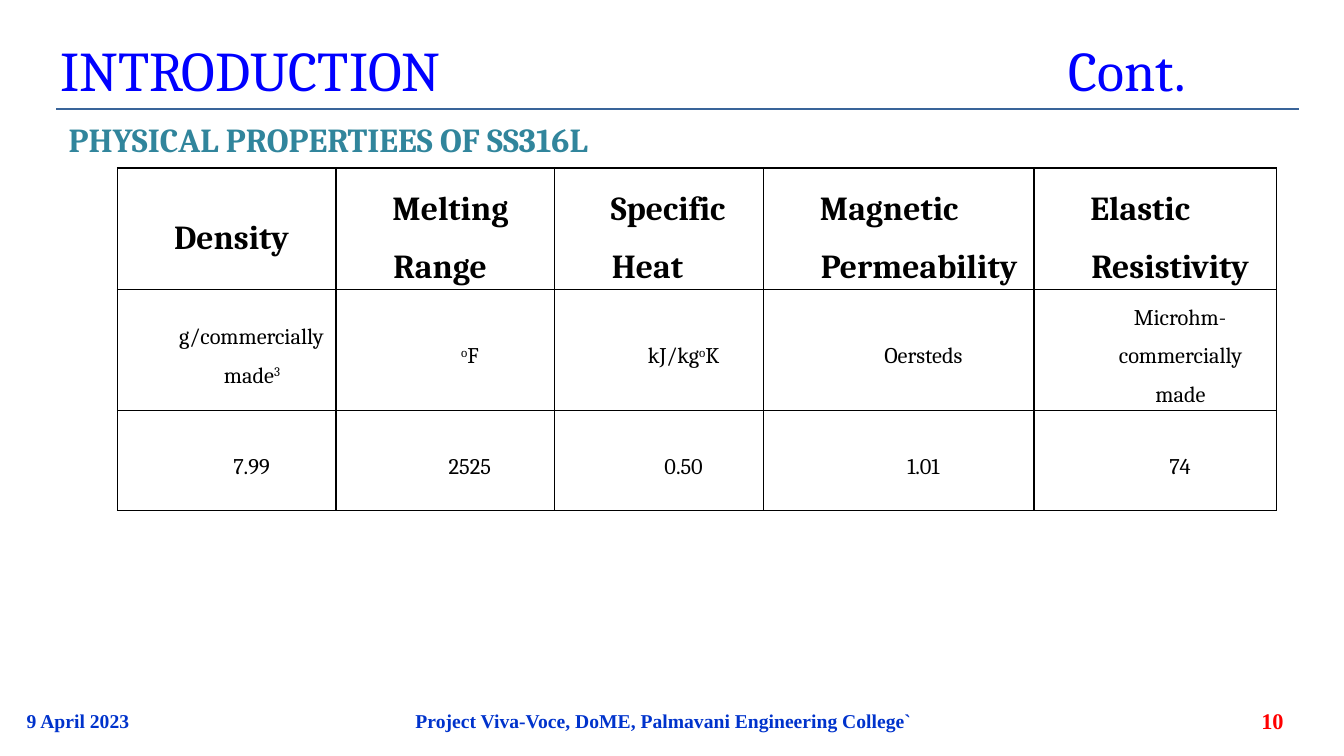
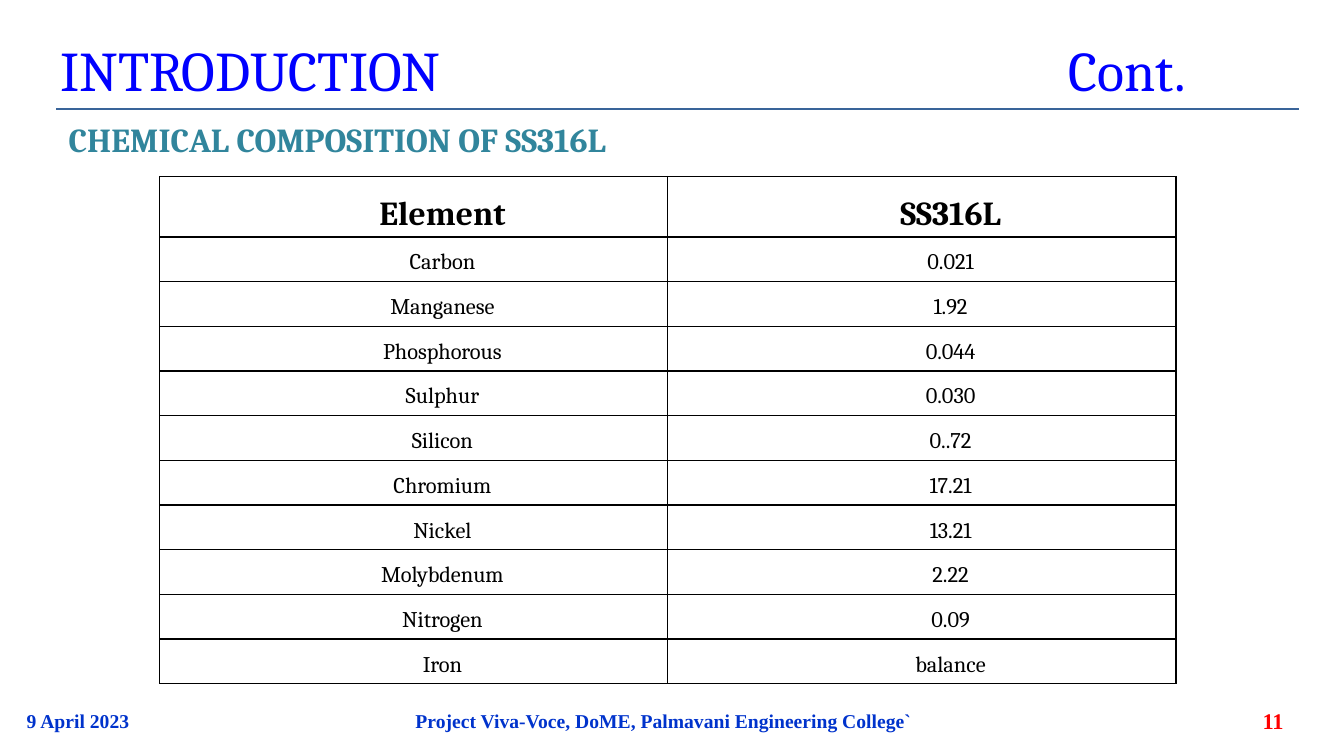
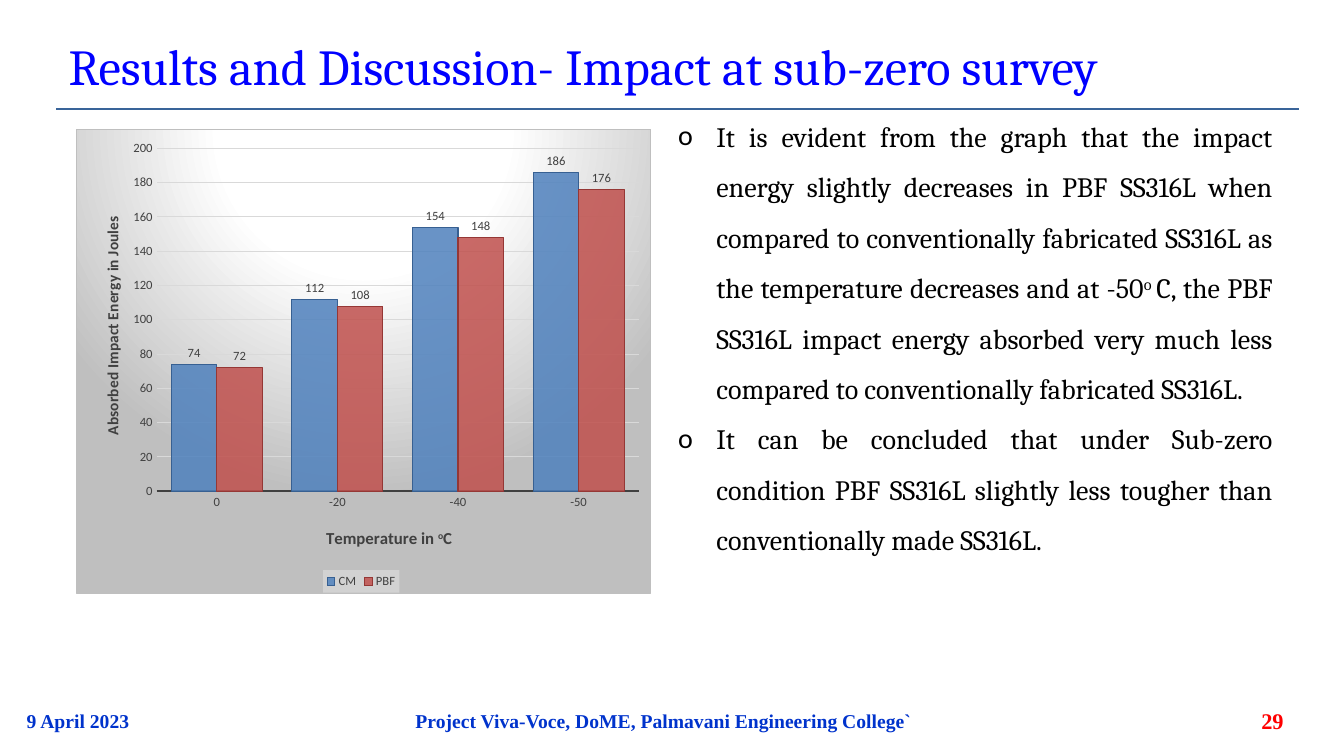
from dataclasses import dataclass

from lxml.etree import SubElement
from pptx import Presentation
from pptx.chart.data import CategoryChartData
from pptx.dml.color import RGBColor
from pptx.enum.chart import XL_CHART_TYPE as ChartType
from pptx.enum.chart import XL_LABEL_POSITION as LabelPosition
from pptx.enum.chart import XL_LEGEND_POSITION as LegendPosition
from pptx.enum.chart import XL_TICK_MARK as TickMark
from pptx.enum.shapes import MSO_CONNECTOR as Connector
from pptx.enum.text import MSO_ANCHOR as Anchor
from pptx.enum.text import PP_ALIGN as Align
from pptx.oxml import parse_xml
from pptx.oxml.ns import nsdecls, qn
from pptx.util import Inches, Pt

GRID_COLS, GRID_ROWS = 160, 90
CELL = Inches(1) // 12


@dataclass(frozen=True)
class Style:
    size: float
    color: str
    font: str = "Cambria"
    bold: bool = False


@dataclass(frozen=True)
class Theme:
    title: Style = Style(40, "0000FF")
    long_title: Style = Style(36, "0000FF")
    subtitle: Style = Style(24, "31859C", bold=True)
    head: Style = Style(24, "000000", bold=True)
    value: Style = Style(16, "000000")
    body: Style = Style(20, "000000")
    footer: Style = Style(14, "0033CC", "Times New Roman", True)
    number: Style = Style(16, "FF0000", "Times New Roman", True)
    chart: Style = Style(9, "404040", "Calibri")
    cat_title: Style = Style(12, "404040", "Calibri", True)
    val_title: Style = Style(11, "404040", "Calibri", True)
    rule: str = "396499"
    border: str = "000000"
    grid: str = "D9D9D9"
    panel: str = "BFBFBF"
    panel_light: str = "FFFFFF"
    legend: str = "F2F2F2"
    series: tuple = (("4F81BD", "376092"), ("C0504D", "953735"))


THEME = Theme()


def units(*counts):
    """Turn grid counts into slide lengths."""
    return [round(count * CELL) for count in counts]


def color(code):
    return RGBColor.from_string(code)


def style_font(font, style):
    font.name, font.size, font.bold = style.font, Pt(style.size), style.bold
    font.color.rgb = color(style.color)


def add_spans(para, text, style):
    """Add runs; parts between ^ marks are superscript."""
    for index, part in enumerate(text.split("^")):
        if part:
            span = para.add_run()
            span.text = part
            style_font(span.font, style)
            if index % 2:
                span._r.get_or_add_rPr().set("baseline", "30000")


def indent(para, left, first):
    props = para._p.get_or_add_pPr()
    props.set("marL", str(Inches(left)))
    props.set("indent", str(Inches(first)))
    return props


def add_text(page, area, paras, style, align=Align.LEFT, anchor=Anchor.TOP, spacing=None):
    box = page.shapes.add_textbox(*units(*area))
    frame = box.text_frame
    frame.word_wrap, frame.vertical_anchor = True, anchor
    for index, text in enumerate(paras):
        para = frame.add_paragraph() if index else frame.paragraphs[0]
        para.alignment = align
        if spacing:
            para.line_spacing = spacing
        add_spans(para, text, style)
    return frame


def add_page(deck, number):
    """Add a blank page with the shared rule and footer."""
    page = deck.slides.add_slide(deck.slide_layouts[6])
    rule = page.shapes.add_connector(Connector.STRAIGHT, *units(6.7, 13, 154.7, 13))
    rule.line.color.rgb, rule.line.width = color(THEME.rule), Pt(1.25)
    SubElement(rule._element.spPr, qn("a:effectLst"))
    footers = (
        (2, 41.3, "9 April 2023", THEME.footer, Align.LEFT),
        (112.7, 41.3, number, THEME.number, Align.RIGHT),
        (39, 80, "Project Viva-Voce, DoME, Palmavani Engineering College`",
         THEME.footer, Align.CENTER),
    )
    for left, width, text, style, align in footers:
        add_text(page, (left, 83.4, width, 4.8), [text], style, align, Anchor.MIDDLE)
    return page


def add_intro_page(deck, number, subtitle):
    page = add_page(deck, number)
    frame = add_text(page, (6, 3.6, 148, 9.4), ["INTRODUCTION\tCont."], THEME.title)
    tabs = SubElement(frame.paragraphs[0]._p.get_or_add_pPr(), qn("a:tabLst"))
    SubElement(tabs, qn("a:tab"), pos=str(Inches(10)), algn="l")
    add_text(page, (7, 11.64, 144, 14), [subtitle], THEME.subtitle, Align.JUSTIFY, spacing=1.4)
    return page


def add_borders(cell):
    props = cell._tc.get_or_add_tcPr()
    for index, side in enumerate(("lnL", "lnR", "lnT", "lnB")):
        props.insert(index, parse_xml(
            f'<a:{side} {nsdecls("a")} w="12700"><a:solidFill>'
            f'<a:srgbClr val="{THEME.border}"/></a:solidFill></a:{side}>'))


def add_table(page, left, top, widths, heights, rows, left_indent, head_align, anchor):
    shape = page.shapes.add_table(
        len(rows), len(widths), *units(left, top, sum(widths), sum(heights)))
    table = shape.table
    table.first_row = table.horz_banding = False
    for column, width in zip(table.columns, units(*widths)):
        column.width = width
    for row, height in zip(table.rows, units(*heights)):
        row.height = height
    for r, texts in enumerate(rows):
        for c, text in enumerate(texts):
            cell = table.cell(r, c)
            cell.fill.background()
            add_borders(cell)
            cell.margin_left = cell.margin_right = Inches(0.07)
            cell.margin_top = cell.margin_bottom = 0
            cell.vertical_anchor = anchor
            para = cell.text_frame.paragraphs[0]
            para.alignment = Align.CENTER if r else head_align
            para.line_spacing = 1.5
            indent(para, left_indent, -0.01)
            add_spans(para, text, THEME.value if r else THEME.head)


def chart_layout(x, y, w=None, h=None):
    """Build a manual chart layout from shares of the chart's size."""
    target = '<c:layoutTarget val="inner"/>' if w else ""
    sizes = f'<c:w val="{w}"/><c:h val="{h}"/>' if w else ""
    return parse_xml(
        f'<c:layout {nsdecls("c")}><c:manualLayout>{target}<c:xMode val="edge"/>'
        f'<c:yMode val="edge"/><c:x val="{x}"/><c:y val="{y}"/>{sizes}'
        f'</c:manualLayout></c:layout>')


def place(element, layout):
    for old in element.findall(qn("c:layout")):
        element.remove(old)
    overlay = element.find(qn("c:overlay"))
    if overlay is None:
        element.insert(0, layout)
    else:
        overlay.addprevious(layout)


def style_axis(axis, title, style, x, y):
    axis.major_tick_mark = axis.minor_tick_mark = TickMark.NONE
    style_font(axis.tick_labels.font, THEME.chart)
    add_spans(axis.axis_title.text_frame.paragraphs[0], title, style)
    place(axis.axis_title._element, chart_layout(x, y))


def style_series(series, fill, line):
    series.format.fill.solid()
    series.format.fill.fore_color.rgb = color(fill)
    shade = series._element.xpath("c:spPr/a:solidFill/a:srgbClr")[0]
    SubElement(shade, qn("a:alpha"), val="85000")
    series.format.line.color.rgb, series.format.line.width = color(line), Pt(0.75)
    labels = series.data_labels
    labels.show_value, labels.position = True, LabelPosition.OUTSIDE_END
    style_font(labels.font, THEME.chart)


def style_panel(chart):
    """Give the chart its radial background and its legend plate."""
    stops = ((0, THEME.panel_light), (39, THEME.panel_light), (100, THEME.panel))
    stop_xml = "".join(
        f'<a:gs pos="{pos * 1000}"><a:srgbClr val="{code}"/></a:gs>' for pos, code in stops)
    chart._chartSpace.find(qn("c:chart")).addnext(parse_xml(
        f'<c:spPr {nsdecls("c", "a")}><a:gradFill><a:gsLst>{stop_xml}</a:gsLst>'
        '<a:path path="circle"><a:fillToRect l="50000" t="-80000" r="50000" b="180000"/>'
        '</a:path></a:gradFill><a:ln w="9525"><a:solidFill>'
        f'<a:srgbClr val="{THEME.panel}"/></a:solidFill></a:ln></c:spPr>'))
    chart.legend._element.find(qn("c:overlay")).addnext(parse_xml(
        f'<c:spPr {nsdecls("c", "a")}><a:solidFill><a:srgbClr val="{THEME.legend}">'
        '<a:alpha val="39000"/></a:srgbClr></a:solidFill></c:spPr>'))


def add_column_chart(page, area, categories, series):
    data = CategoryChartData()
    data.categories = categories
    for name, values in series.items():
        data.add_series(name, values)
    chart = page.shapes.add_chart(ChartType.COLUMN_CLUSTERED, *units(*area), data).chart
    style_font(chart.font, THEME.chart)
    chart.has_title = False
    plot = chart.plots[0]
    plot.vary_by_categories, plot.gap_width, plot.overlap = False, 65, 0
    for item, colors in zip(plot.series, THEME.series):
        style_series(item, *colors)

    cat_axis, val_axis = chart.category_axis, chart.value_axis
    style_axis(cat_axis, "Temperature in ^o^C", THEME.cat_title, 0.43, 0.85)
    style_axis(val_axis, "Absorbed Impact Energy in Joules", THEME.val_title, 0.04, 0.18)
    cat_axis.format.line.color.rgb = color(THEME.chart.color)
    cat_axis.format.line.width = Pt(1.5)
    val_axis.format.line.fill.background()
    val_axis.minimum_scale, val_axis.maximum_scale, val_axis.major_unit = 0, 200, 20
    grid = val_axis.major_gridlines.format.line
    grid.color.rgb, grid.width = color(THEME.grid), Pt(0.75)

    chart.has_legend = True
    chart.legend.position = LegendPosition.BOTTOM
    chart.legend.include_in_layout = False
    style_font(chart.legend.font, THEME.chart)
    style_panel(chart)
    place(chart.legend._element, chart_layout(0.43, 0.95))
    place(chart._chartSpace.xpath("c:chart/c:plotArea")[0],
          chart_layout(0.14, 0.04, 0.84, 0.74))


def add_bullets(page, area, texts):
    frame = add_text(page, area, texts, THEME.body, Align.JUSTIFY, spacing=1.5)
    for para in frame.paragraphs:
        props = indent(para, 0.95, -0.38)
        SubElement(props, qn("a:buFont"), typeface=THEME.chart.font)
        SubElement(props, qn("a:buChar"), char="o")


def add_physical_page(deck):
    page = add_intro_page(deck, "10", "PHYSICAL PROPERTIEES OF SS316L")
    rows = (
        ("Density", "Melting Range", "Specific Heat", "Magnetic Permeability",
         "Elastic Resistivity"),
        ("g/commercially made^3^", "^o^F", "kJ/kg^o^K", "Oersteds",
         "Microhm-commercially made"),
        ("7.99", "2525", "0.50", "1.01", "74"),
    )
    add_table(page, 14, 20, (26, 26, 24.9, 32.2, 28.9), (14.5, 8.6, 11.9), rows,
              0.5, Align.JUSTIFY, Anchor.MIDDLE)


def add_chemical_page(deck):
    page = add_intro_page(deck, "11", "CHEMICAL COMPOSITION OF SS316L")
    rows = (
        ("Element", "SS316L"), ("Carbon", "0.021"), ("Manganese", "1.92"),
        ("Phosphorous", "0.044"), ("Sulphur", "0.030"), ("Silicon", "0..72"),
        ("Chromium", "17.21"), ("Nickel", "13.21"), ("Molybdenum", "2.22"),
        ("Nitrogen", "0.09"), ("Iron", "balance"),
    )
    heights = [6.9] + [5.32] * (len(rows) - 1)
    add_table(page, 19, 21, (60.5, 60.5), heights, rows, 0.58, Align.CENTER, Anchor.TOP)


def add_impact_page(deck):
    page = add_page(deck, "29")
    add_text(page, (7, 3.6, 148, 15), ["Results and Discussion- Impact at sub-zero survey"],
             THEME.long_title)
    add_column_chart(page, (9, 15.4, 68.5, 55.3), ("0", "-20", "-40", "-50"),
                     {"CM": (74, 112, 154, 186), "PBF": (72, 108, 148, 176)})
    add_bullets(page, (72.7, 11.64, 80, 61.8), (
        "It is evident from the graph that the impact energy slightly decreases in PBF SS316L "
        "when compared to conventionally fabricated SS316L as the temperature decreases and at "
        "-50^o ^C, the PBF SS316L impact energy absorbed very much less compared to "
        "conventionally fabricated SS316L.",
        "It can be concluded that under Sub-zero condition PBF SS316L slightly less tougher "
        "than conventionally made SS316L.",
    ))


def main():
    deck = Presentation()
    deck.slide_width, deck.slide_height = units(GRID_COLS, GRID_ROWS)
    add_physical_page(deck)
    add_chemical_page(deck)
    add_impact_page(deck)
    deck.save("out.pptx")


if __name__ == "__main__":
    main()
